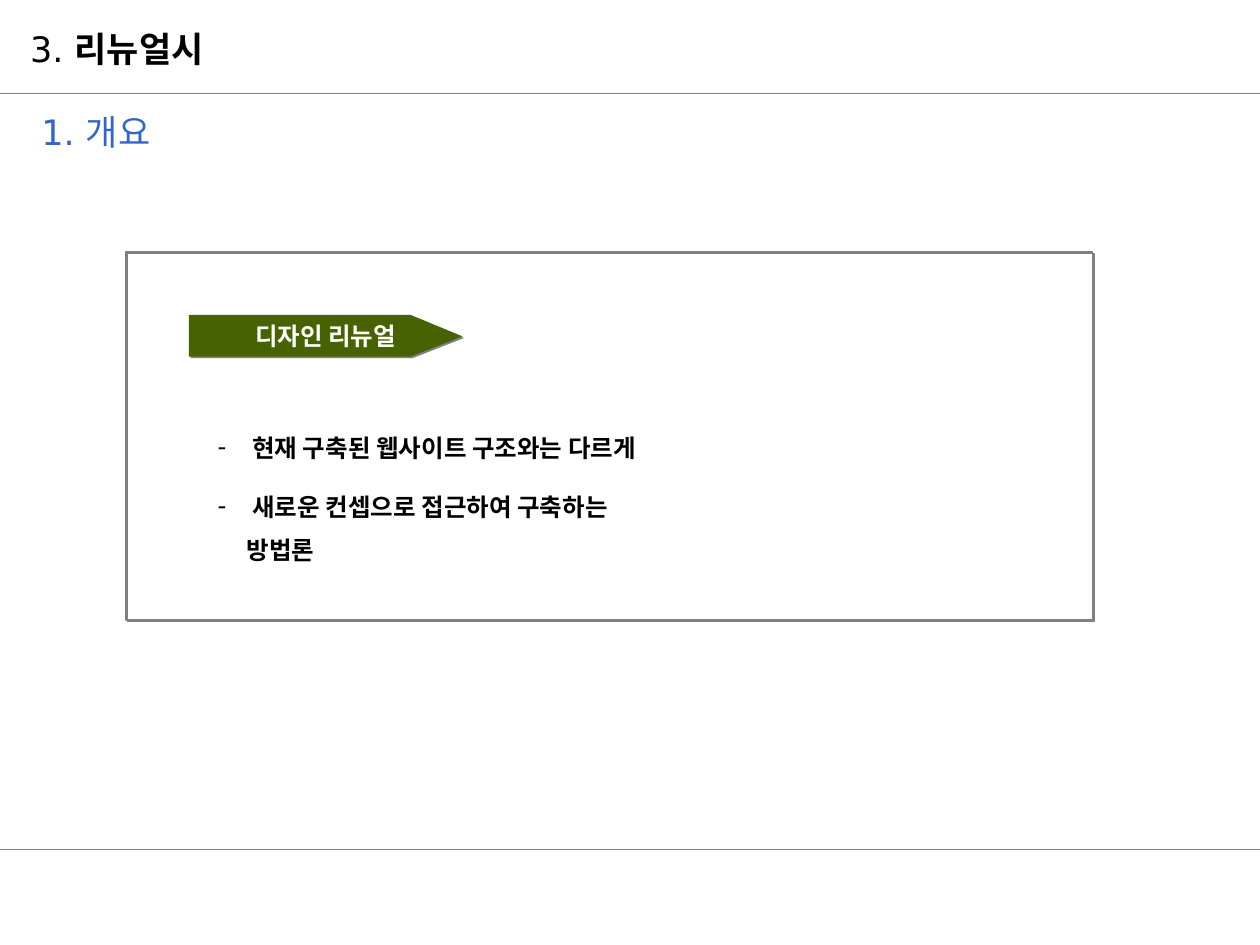
from lxml import etree
from pptx import Presentation, util as u
from pptx.dml.color import RGBColor
from pptx.enum import shapes, text
from pptx.oxml.ns import qn

BLACK = RGBColor(0x00, 0x00, 0x00)
WHITE = RGBColor(0xFF, 0xFF, 0xFF)
GREY = RGBColor(0x80, 0x80, 0x80)
BLUE = RGBColor(0x33, 0x66, 0xCC)
GREEN = RGBColor(0x47, 0x63, 0x01)
LATIN, KOREAN = "DejaVu Sans", "Noto Sans CJK KR"

WIDTH, HEIGHT = 10, 7.5
RULES = [0.74, 6.74]
HEADING = {"name": LATIN, "size": u.Pt(20)}
BODY = {"name": KOREAN, "size": u.Pt(14), "bold": True}
TITLES = [
    ((0.14, 0.17, 3.11, 0.42), BLACK, [("3. ", False), ("리뉴얼시", True)]),
    ((0.23, 0.83, 3.27, 0.44), BLUE, [("1. 개요", False)]),
]
PANEL = (1, 2, 7.67, 2.92)
LABEL = "디자인 리뉴얼"
ARROW = [(1.5, 2.5), (3.26, 2.5), (3.67, 2.67), (3.26, 2.83), (1.5, 2.83)]
BULLETS = [" 현재 구축된 웹사이트 구조와는 다르게", " 새로운 컨셉으로 접근하여 구축하는 방법론"]
BULLET_BOX = (1.63, 3.27, 3.76, 0.92)
BULLET_INDENT = u.Inches(0.23)


def inches(values):
    return [u.Inches(value) for value in values]


def add_run(paragraph, words, color, formats):
    run = paragraph.add_run()
    run.text = words
    for name, value in formats.items():
        setattr(run.font, name, value)
    run.font.color.rgb = color
    east_asian = etree.SubElement(run.font._element, qn("a:ea"))
    east_asian.set("typeface", formats["name"])


def add_effects(shape, shadow=False):
    effects = etree.SubElement(shape._element.spPr, qn("a:effectLst"))
    if shadow:
        outer = etree.SubElement(effects, qn("a:outerShdw"), dist=str(u.Pt(1.4)), dir="2700000",
                                 algn="ctr", rotWithShape="0")
        etree.SubElement(outer, qn("a:srgbClr"), val=str(GREY))


def add_text_frame(slide, box):
    frame = slide.shapes.add_textbox(*inches(box)).text_frame
    frame.word_wrap = True
    return frame


def add_bullet(paragraph):
    properties = paragraph._p.get_or_add_pPr()
    properties.set("marL", str(BULLET_INDENT))
    properties.set("indent", str(-BULLET_INDENT))
    color = etree.SubElement(properties, qn("a:buClr"))
    etree.SubElement(color, qn("a:srgbClr"), val=str(BLACK))
    etree.SubElement(properties, qn("a:buFont"), typeface=LATIN)
    etree.SubElement(properties, qn("a:buChar"), char="-")


def add_rules(slide):
    for top in RULES:
        ends = inches((0, top, WIDTH, top))
        rule = slide.shapes.add_connector(shapes.MSO_CONNECTOR.STRAIGHT, *ends)
        rule.line.color.rgb = GREY
        rule.line.width = u.Pt(0.75)
        add_effects(rule)


def add_arrow(slide):
    points = [inches(point) for point in ARROW]
    builder = slide.shapes.build_freeform(*points[0])
    builder.add_line_segments(points[1:], close=True)
    arrow = builder.convert_to_shape()
    arrow.fill.solid()
    arrow.fill.fore_color.rgb = GREEN
    arrow.line.fill.background()
    add_effects(arrow, shadow=True)
    frame = arrow.text_frame
    frame.word_wrap = False
    frame.vertical_anchor = text.MSO_ANCHOR.MIDDLE
    paragraph = frame.paragraphs[0]
    paragraph.alignment = text.PP_ALIGN.CENTER
    add_run(paragraph, LABEL, WHITE, BODY)


def add_panel(slide):
    panel = slide.shapes.add_shape(shapes.MSO_SHAPE.RECTANGLE, *inches(PANEL))
    panel.fill.background()
    panel.line.color.rgb = GREY
    panel.line.width = u.Pt(0.75)
    add_effects(panel, shadow=True)


def add_bullets(slide):
    frame = add_text_frame(slide, BULLET_BOX)
    for index, words in enumerate(BULLETS):
        paragraph = frame.add_paragraph() if index else frame.paragraphs[0]
        add_bullet(paragraph)
        paragraph.line_spacing = u.Pt(25)
        if index:
            paragraph.space_before = u.Pt(8.8)
        add_run(paragraph, words, BLACK, BODY)


def main():
    presentation = Presentation()
    presentation.slide_width, presentation.slide_height = inches((WIDTH, HEIGHT))
    slide = presentation.slides.add_slide(presentation.slide_layouts[6])
    add_rules(slide)
    for box, color, runs in TITLES:
        paragraph = add_text_frame(slide, box).paragraphs[0]
        for words, bold in runs:
            add_run(paragraph, words, color, {**HEADING, "bold": bold})
    add_arrow(slide)
    add_panel(slide)
    add_bullets(slide)
    presentation.save("out.pptx")


if __name__ == "__main__":
    main()
